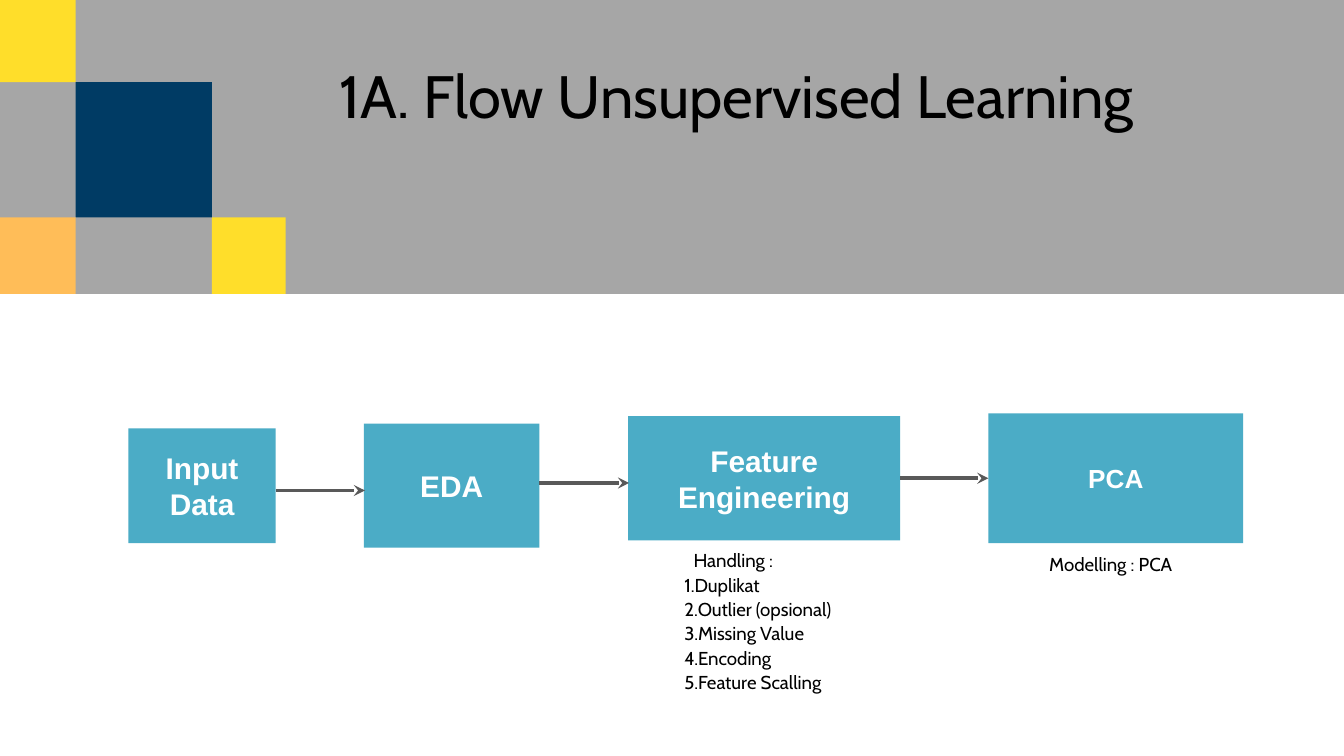
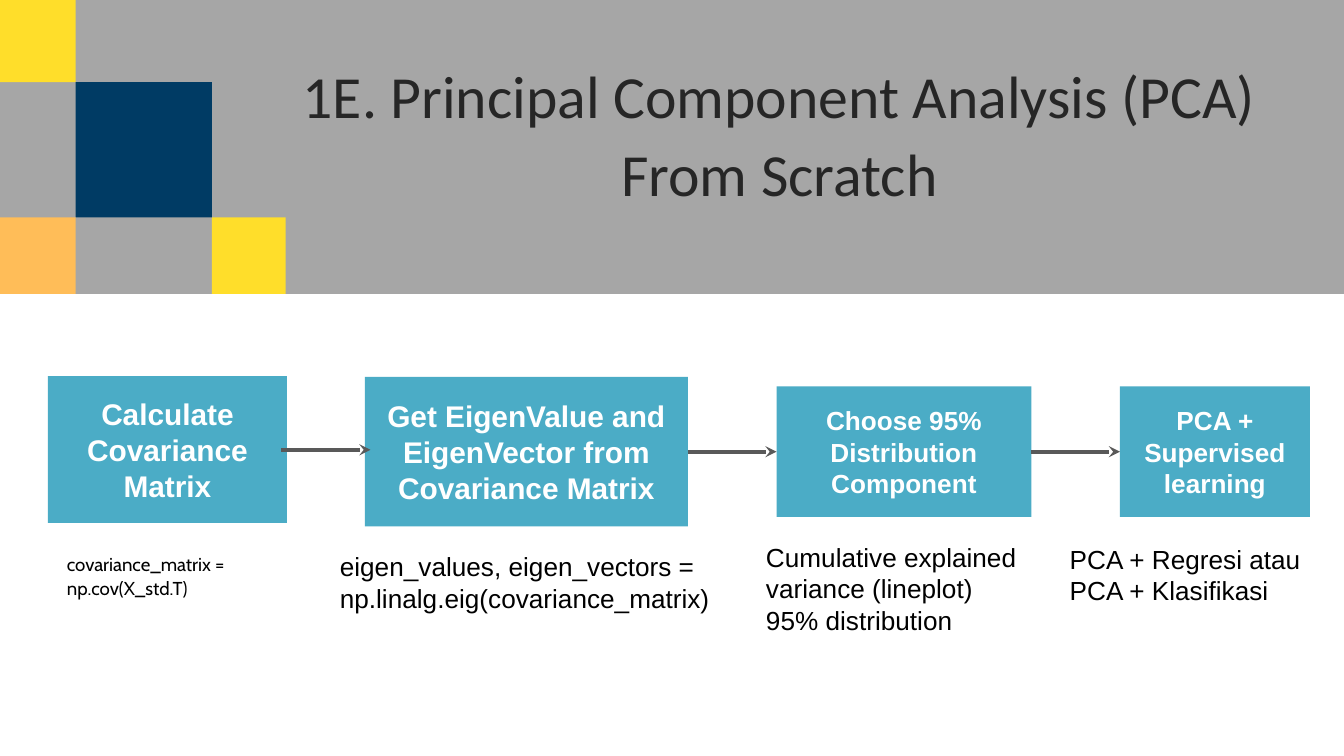
from lxml import etree
from pptx import Presentation
from pptx import util as u
from pptx.dml import color
from pptx.enum import shapes, text
from pptx.oxml import ns

COLORS = {
    "band": "A6A6A6", "yellow": "FFDE2A", "navy": "003B64", "orange": "FFBD58",
    "step": "4BACC6", "arrow": "595959", "black": "000000", "charcoal": "262626",
    "white": "FFFFFF",
}
INDENT = 28
BAND_BLOCKS = [
    (0, 0, 720, 157.5, "band"),
    (0, 0, 40.5, 44, "yellow"),
    (113.5, 116.5, 39.5, 41, "yellow"),
    (40.5, 44, 73, 72.5, "navy"),
    (0, 116.5, 40.5, 41, "orange"),
]
SLIDES = [
    {
        "title": ("1A. Flow Unsupervised Learning", "Cabin", "black", text.PP_ALIGN.LEFT, INDENT),
        "steps": [
            (68.75, 229.5, 79, 61.5, "Input Data", 16),
            (195, 227, 94, 66.5, "EDA", 16),
            (336.5, 223, 145.75, 66.5, "Feature Engineering", 16),
            (529.5, 221.5, 136.5, 69.5, "PCA", 14),
        ],
        "arrows": [(147.75, 195.5, 262.75, False), (289, 337, 258.75, False),
                   (482.25, 529.5, 256.25, True)],
        "notes": [
            (336.5, 289.5, 135.5, 86, ["Handling :", "Duplikat", "Outlier (opsional)",
                                      "Missing Value", "Encoding", "Feature Scalling"],
             "Cabin", 10),
            (527, 291.5, 139, 19.5, ["Modelling : PCA"], "Cabin", 10),
        ],
    },
    {
        "title": ("1E. Principal Component Analysis (PCA) From Scratch", "Calibri",
                  "charcoal", text.PP_ALIGN.CENTER, 0.75),
        "steps": [
            (25.75, 201.5, 128, 78.75, "Calculate Covariance Matrix", 16),
            (195.5, 202, 173, 80, "Get EigenValue and EigenVector from Covariance Matrix", 16),
            (416, 207, 136.5, 70, "Choose 95% Distribution Component", 14),
            (600, 207, 101.75, 70, "PCA + Supervised learning", 14),
        ],
        "arrows": [(150.5, 198.5, 241, False), (368.5, 416, 242, True),
                   (552.5, 600, 242, True)],
        "notes": [
            (0.75, 291.5, 186.5, 32.5, ["covariance_matrix = np.cov(X_std.T)"], "Cabin", 10),
            (175, 291.5, 227.5, 41, ["eigen_values, eigen_vectors = np.linalg.eig(covariance_matrix)"],
             "Arial", 14),
            (403.25, 286.5, 153.5, 58.5, ["Cumulative explained variance (lineplot) 95% distribution"],
             "Arial", 14),
            (566, 287.5, 153.5, 41, ["PCA + Regresi atau PCA + Klasifikasi"], "Arial", 14),
        ],
    },
]


def add_rectangle(slide, left, top, width, height, fill):
    shape = slide.shapes.add_shape(
        shapes.MSO_SHAPE.RECTANGLE, u.Pt(left), u.Pt(top), u.Pt(width), u.Pt(height))
    shape.shadow.inherit = False
    shape.fill.solid()
    shape.fill.fore_color.rgb = color.RGBColor.from_string(COLORS[fill])
    shape.line.fill.background()
    return shape


def write(shape, lines, font, size, ink, align, indent=0, spacing=None, bold=False, margins=(7.2, 3.6, 7.2, 3.6)):
    frame = shape.text_frame
    frame.word_wrap = True
    frame.margin_left, frame.margin_top, frame.margin_right, frame.margin_bottom = map(u.Pt, margins)
    frame.text = "\n".join(lines)
    for number, paragraph in enumerate(frame.paragraphs):
        paragraph.alignment = align
        if spacing:
            paragraph.line_spacing = spacing
        properties = paragraph._p.get_or_add_pPr()
        properties.set("marL", str(u.Pt(indent)))
        properties.set("indent", str(u.Pt(-5 if number else 0)))
        if number:
            etree.SubElement(properties, ns.qn("a:buFont"), typeface="+mj-lt")
            etree.SubElement(properties, ns.qn("a:buAutoNum"), type="arabicPeriod")
        for run in paragraph.runs:
            run.font.name = font
            run.font.size = u.Pt(size)
            run.font.bold = bold
            run.font.color.rgb = color.RGBColor.from_string(COLORS[ink])


presentation = Presentation()
presentation.slide_width = u.Pt(720)
presentation.slide_height = u.Pt(405)

for content in SLIDES:
    slide = presentation.slides.add_slide(presentation.slide_layouts[6])
    for block in BAND_BLOCKS:
        add_rectangle(slide, *block)

    title, font, ink, align, indent = content["title"]
    title_box = slide.shapes.add_textbox(u.Pt(154), u.Pt(27.5), u.Pt(526.5), u.Pt(85))
    write(title_box, [title], font, 32, ink, align, indent, 1.09, margins=(0, 0.75, 0, 0))

    steps = []
    for left, top, width, height, label, size in content["steps"]:
        step = add_rectangle(slide, left, top, width, height, "step")
        step.text_frame.vertical_anchor = text.MSO_ANCHOR.MIDDLE
        write(step, [label], "Arial", size, "white", text.PP_ALIGN.CENTER, bold=True)
        steps.append(step)

    for source, target, (start, end, height, joined) in zip(steps, steps[1:], content["arrows"]):
        arrow = slide.shapes.add_connector(
            shapes.MSO_CONNECTOR.STRAIGHT, u.Pt(start), u.Pt(height), u.Pt(end), u.Pt(height))
        if joined:
            arrow.begin_connect(source, 3)
            arrow.end_connect(target, 1)
        arrow.line.width = u.Pt(2)
        arrow.line.color.rgb = color.RGBColor.from_string(COLORS["arrow"])
        etree.SubElement(arrow.line._get_or_add_ln(), ns.qn("a:tailEnd"), type="stealth", w="med", len="med")
        etree.SubElement(arrow._element.spPr, ns.qn("a:effectLst"))

    for left, top, width, height, lines, font, size in content["notes"]:
        note = slide.shapes.add_textbox(u.Pt(left), u.Pt(top), u.Pt(width), u.Pt(height))
        indent, spacing = (INDENT, 1.09) if font == "Cabin" else (0, None)
        write(note, lines, font, size, "black", text.PP_ALIGN.LEFT, indent, spacing)

presentation.save("out.pptx")
